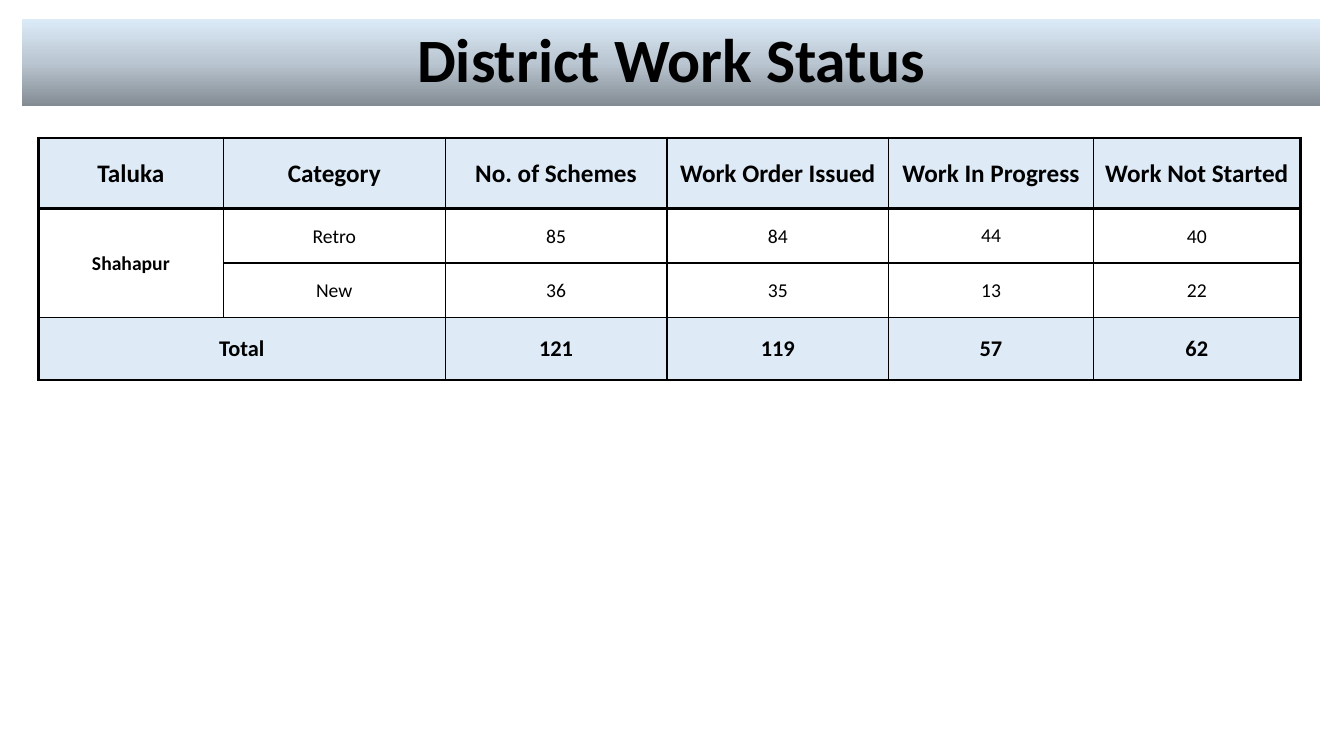
from lxml.etree import SubElement as Sub
from pptx import Presentation
from pptx.dml.color import RGBColor as RGB
from pptx.enum.shapes import MSO_SHAPE as SHAPE
from pptx.enum.text import MSO_ANCHOR as ANCHOR, PP_ALIGN as ALIGN
from pptx.oxml.ns import qn
from pptx.util import Pt

HUES = {"ink": "000000", "pale": "DEEBF7", "dark": "838B93",
        "mid": "BAC6D1", "light": "DCEBF8"}
THICK, THIN = 2.25, 1


def write(frame, text, size, bold=False, gap=1.0):
    """Put one centred paragraph into a text frame."""
    para = frame.paragraphs[0]
    para.alignment = ALIGN.CENTER
    para.line_spacing = gap
    run = para.add_run()
    run.text = text
    font = run.font
    font.name, font.size, font.bold = "Calibri", Pt(size), bold
    font.color.rgb = RGB.from_string(HUES["ink"])


class Board:
    def __init__(self, slide, hues):
        self.slide, self.hues = slide, hues

    def banner(self, text, x, y, w, h):
        box = self.slide.shapes.add_shape(SHAPE.RECTANGLE, Pt(x), Pt(y), Pt(w), Pt(h))
        box.shadow.inherit = False
        box.line.fill.background()
        # Three stops, dark at the foot and light at the top
        box.fill.gradient()
        box.fill.gradient_angle = 90
        stops = box.element.spPr.find(".//" + qn("a:gsLst"))
        for old in list(stops):
            stops.remove(old)
        for place, hue in ((0, "dark"), (50, "mid"), (100, "light")):
            stop = Sub(stops, qn("a:gs"), pos=str(place * 1000))
            Sub(stop, qn("a:srgbClr"), val=self.hues[hue])
        box.text_frame.word_wrap = True
        box.text_frame.vertical_anchor = ANCHOR.MIDDLE
        write(box.text_frame, text, 44, bold=True, gap=0.9)

    def edges(self, cell, sides):
        props = cell._tc.get_or_add_tcPr()
        for side, width in sides.items():
            line = Sub(props, qn("a:ln" + side), w=str(Pt(width)))
            fill = Sub(line, qn("a:solidFill"))
            Sub(fill, qn("a:srgbClr"), val=self.hues["ink"])

    def table(self, data, x, y, cols, rows, merges):
        frame = self.slide.shapes.add_table(
            len(rows), len(cols), Pt(x), Pt(y), Pt(sum(cols)), Pt(sum(rows)))
        grid = frame.table
        grid.first_row = grid.horz_banding = False
        for col, width in zip(grid.columns, cols):
            col.width = Pt(width)
        for row, height in zip(grid.rows, rows):
            row.height = Pt(height)
        for top, left, low, right in merges:
            grid.cell(top, left).merge(grid.cell(low, right))

        end, last = len(rows) - 1, len(cols) - 1
        for r, line in enumerate(data):
            size = {0: 18, end: 16}.get(r, 14)
            band = r in (0, end)
            for c, text in enumerate(line):
                cell = grid.cell(r, c)
                # Thick frame and header rule, thin lines elsewhere
                self.edges(cell, {
                    "L": THICK if c == 0 else THIN,
                    "R": THICK if c == last else THIN,
                    "T": THICK if r < 2 else THIN,
                    "B": THICK if band else THIN})
                if band:
                    cell.fill.solid()
                    cell.fill.fore_color.rgb = RGB.from_string(self.hues["pale"])
                else:
                    cell.fill.background()
                wide = c == 4 and r > 0
                cell.margin_left = cell.margin_right = Pt(2.2 if wide else 0.7)
                cell.margin_top = Pt(1.4 if wide else 0.7)
                cell.margin_bottom = Pt(1.4 if wide else 0)
                cell.vertical_anchor = ANCHOR.MIDDLE
                if text:
                    write(cell.text_frame, text, size, bold=band or c == 0)


def main():
    deck = Presentation()
    deck.slide_width, deck.slide_height = Pt(960), Pt(540)
    board = Board(deck.slides.add_slide(deck.slide_layouts[6]), HUES)

    # Title
    board.banner("District Work Status", 15.8, 13.7, 927.4, 61.9)

    # Status by taluka; empty cells belong to merged ones
    data = [
        ["Taluka", "Category", "No. of Schemes", "Work Order Issued",
         "Work In Progress", "Work Not Started"],
        ["Shahapur", "Retro", "85", "84", "44", "40"],
        ["", "New", "36", "35", "13", "22"],
        ["Total", "", "121", "119", "57", "62"],
    ]
    board.table(data, 27.4, 98.6,
                cols=[132.2, 158.4, 158.4, 158.4, 146.2, 147.8],
                rows=[50.4, 38.9, 38.9, 44.6],
                merges=[(1, 0, 2, 0), (3, 0, 3, 1)])

    deck.save("out.pptx")


if __name__ == "__main__":
    main()
